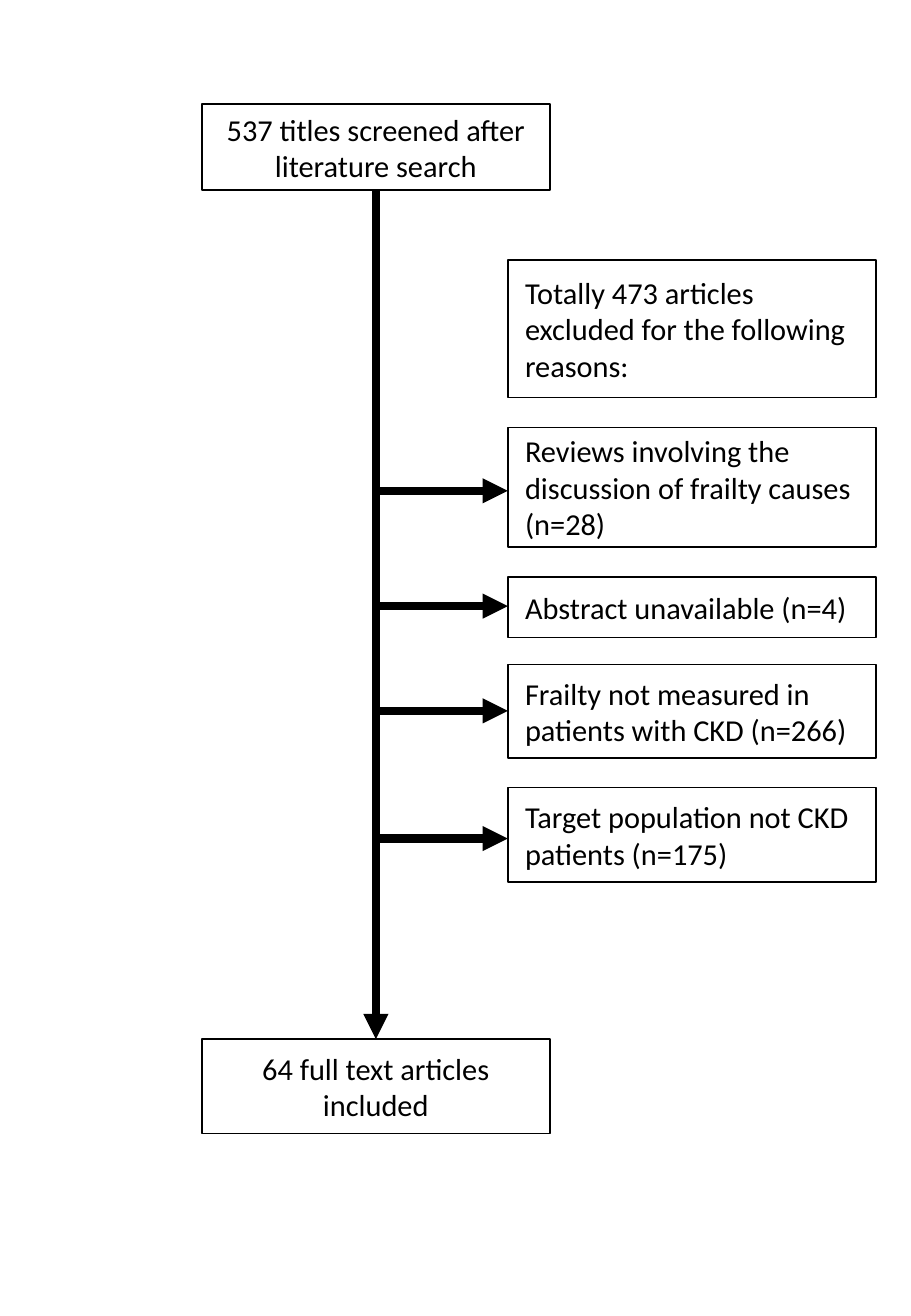
"""Build a flow chart of the article selection for a review of frailty in CKD."""
from lxml import etree
from pptx import Presentation
from pptx.dml.color import RGBColor
from pptx.enum.shapes import MSO_CONNECTOR, MSO_SHAPE
from pptx.enum.text import MSO_ANCHOR, PP_ALIGN
from pptx.oxml.ns import qn
from pptx.util import Cm, Pt

RECTANGLE = MSO_SHAPE.RECTANGLE
STRAIGHT = MSO_CONNECTOR.STRAIGHT
MIDDLE = MSO_ANCHOR.MIDDLE
LEFT, CENTER = PP_ALIGN.LEFT, PP_ALIGN.CENTER
BLACK = "000000"


def paint(color_format, hex_color):
    color_format.rgb = RGBColor.from_string(hex_color)


def add_arrow(x1, y1, x2, y2):
    arrow = slide.shapes.add_connector(STRAIGHT, Cm(x1), Cm(y1), Cm(x2), Cm(y2))
    arrow.line.width = Pt(5)
    paint(arrow.line.color, BLACK)
    properties = arrow._element.spPr
    line = properties.find(qn("a:ln"))
    etree.SubElement(line, qn("a:tailEnd"), type="triangle")
    etree.SubElement(properties, qn("a:effectLst"))


prs = Presentation()
prs.slide_width, prs.slide_height = Cm(19.05), Cm(27.51)
slide = prs.slides.add_slide(prs.slide_layouts[6])

main_left, main_width = 4.22, 7.28
reason_left, reason_width = 10.62, 7.7
trunk_x = main_left + main_width / 2
screened_top, screened_height = 2.18, 1.8
included_top = 21.72

main_steps = [
    (screened_top, screened_height, "537 titles screened after literature search"),
    (included_top, 1.98, "64 full text articles included"),
]
exclusions = [
    (5.44, 2.87, "Totally 473 articles excluded for the following reasons:"),
    (8.94, 2.49, "Reviews involving the discussion of frailty causes (n=28)"),
    (12.06, 1.27, "Abstract unavailable (n=4)"),
    (13.89, 1.96, "Frailty not measured in patients with CKD (n=266)"),
    (16.46, 1.98, "Target population not CKD patients (n=175)"),
]
columns = [
    (main_left, main_width, CENTER, main_steps),
    (reason_left, reason_width, LEFT, exclusions),
]

for left, width, alignment, steps in columns:
    for top, height, wording in steps:
        step = slide.shapes.add_shape(RECTANGLE, Cm(left), Cm(top), Cm(width), Cm(height))
        step.shadow.inherit = False
        step.fill.background()
        step.line.width = Pt(1)
        paint(step.line.color, BLACK)
        frame = step.text_frame
        frame.word_wrap = True
        frame.vertical_anchor = MIDDLE
        frame.margin_left = frame.margin_right = Cm(0.36)
        frame.margin_top = frame.margin_bottom = Cm(0.18)
        paragraph = frame.paragraphs[0]
        paragraph.alignment = alignment
        run = paragraph.add_run()
        run.text = wording
        run.font.name = "Calibri"
        run.font.size = Pt(18)
        paint(run.font.color, BLACK)

add_arrow(trunk_x, screened_top + screened_height, trunk_x, included_top)
for branch_y in (10.26, 12.67, 14.86, 17.53):
    add_arrow(trunk_x, branch_y, reason_left, branch_y)

prs.save("out.pptx")
